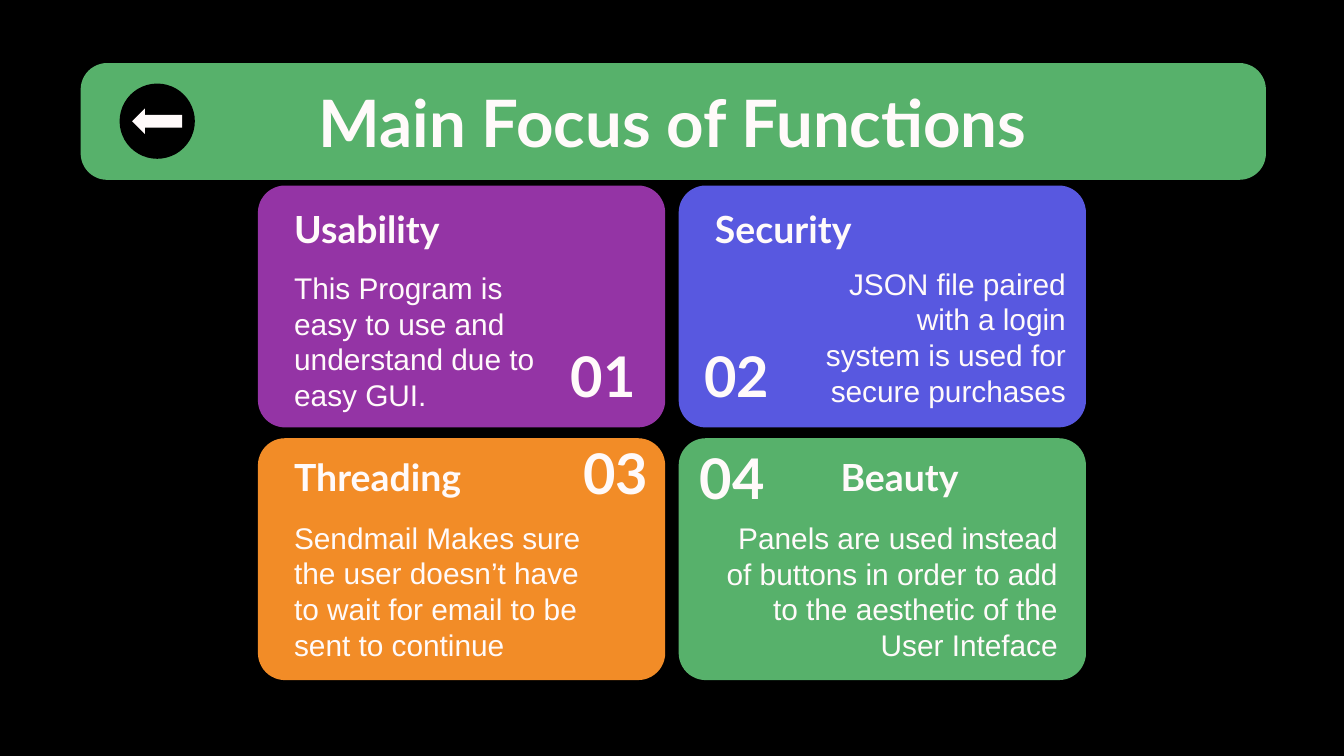
"""Build the slide on the main focus of the program's functions."""
import dataclasses

import pptx
import pptx.dml.color
import pptx.enum.shapes
import pptx.enum.text
import pptx.util

Pt = pptx.util.Pt
SHAPE = pptx.enum.shapes.MSO_SHAPE
ALIGN = pptx.enum.text.PP_ALIGN
ANCHOR = pptx.enum.text.MSO_ANCHOR


@dataclasses.dataclass(frozen=True)
class Theme:
    black: str = "000000"
    white: str = "FFFAFA"
    purple: str = "9434A5"
    blue: str = "5858E0"
    orange: str = "F28C27"
    green: str = "57B16B"
    heading_font: str = "Lato"
    body_font: str = "Arial"
    title_size: float = 35
    number_size: float = 30
    heading_size: float = 20
    body_size: float = 16
    body_leading: float = 19.2


THEME = Theme()
CARD_LEFT, CARD_TOP = 138.2, 99.4
CARD_WIDTH, CARD_HEIGHT = 218.2, 129.6
COLUMN_STEP, ROW_STEP = 225.4, 135.4

FOCUSES = [
    dict(heading="Usability", fill=THEME.purple, number_at=(290.9, 180),
         detail="This Program is easy to use and understand due to easy GUI.",
         detail_box=(150.5, 143.3, 144.7, 85)),
    dict(heading="Security", fill=THEME.blue, number_at=(362.2, 180),
         detail="JSON file paired with a login system is used for secure purchases",
         detail_box=(433.4, 157.7, 144.7, 68.4), detail_align=ALIGN.RIGHT),
    dict(heading="Threading", fill=THEME.orange, number_at=(297.4, 231.8),
         detail="Sendmail Makes sure the user doesn’t have to wait for email "
                "to be sent to continue",
         detail_box=(150.5, 309.6, 172.8, 52.6)),
    dict(heading="Beauty", fill=THEME.green, number_at=(360, 234.7),
         detail="Panels are used instead of buttons in order to add to the "
                "aesthetic of the User Inteface",
         detail_box=(375.8, 293.8, 198, 68.4),
         heading_align=ALIGN.RIGHT, detail_align=ALIGN.RIGHT),
]


def rgb(code):
    """Turn a hex code into a colour."""
    return pptx.dml.color.RGBColor.from_string(code)


def add_panel(shapes, kind, box, fill, corner=None):
    """Add a flat filled shape without outline or shadow."""
    panel = shapes.add_shape(kind, *map(Pt, box))
    panel.shadow.inherit = False
    panel.fill.solid()
    panel.fill.fore_color.rgb = rgb(fill)
    panel.line.fill.background()
    if corner is not None:
        panel.adjustments[0] = corner


def add_text(shapes, words, box, *, size, font=THEME.heading_font, bold=True,
             align=ALIGN.LEFT, anchor=ANCHOR.TOP, leading=None):
    """Add a wrapped text box holding one formatted paragraph."""
    frame = shapes.add_textbox(*map(Pt, box)).text_frame
    frame.word_wrap = True
    frame.vertical_anchor = anchor
    frame.margin_left = frame.margin_right = Pt(7.2)
    frame.margin_top = frame.margin_bottom = Pt(7.2)
    paragraph = frame.paragraphs[0]
    paragraph.alignment = align
    if leading:
        paragraph.line_spacing = Pt(leading)
    run = paragraph.add_run()
    run.text = words
    run.font.name = font
    run.font.size = Pt(size)
    run.font.bold = bold
    run.font.color.rgb = rgb(THEME.white)


def add_title_bar(shapes):
    """Add the title on its green bar."""
    add_panel(shapes, SHAPE.ROUNDED_RECTANGLE, (43.2, 33.8, 635, 62.6),
              THEME.green, 0.227)
    add_text(shapes, "Main Focus of Functions", (106.6, 36.7, 507.6, 45.4),
             size=THEME.title_size, align=ALIGN.CENTER)


def add_back_button(shapes):
    """Add the round button with its left arrow as one group."""
    button = shapes.add_group_shape().shapes
    add_panel(button, SHAPE.OVAL, (64.1, 44.8, 40.3, 40.3), THEME.black)
    add_panel(button, SHAPE.LEFT_ARROW, (70.8, 58.1, 26.8, 13.7), THEME.white)


def add_focus(shapes, index, heading, fill, number_at, detail, detail_box,
              heading_align=ALIGN.LEFT, detail_align=ALIGN.LEFT):
    """Add one numbered card with heading and detail."""
    row, column = divmod(index, 2)
    left = CARD_LEFT + column * COLUMN_STEP
    top = CARD_TOP + row * ROW_STEP
    add_panel(shapes, SHAPE.ROUNDED_RECTANGLE,
              (left, top, CARD_WIDTH, CARD_HEIGHT), fill, 0.112)
    add_text(shapes, heading, (left + 12.3, 103 + row * 133.2, 144.7, 57.6),
             size=THEME.heading_size, align=heading_align)
    add_text(shapes, detail, detail_box, size=THEME.body_size,
             font=THEME.body_font, bold=False, align=detail_align,
             anchor=ANCHOR.BOTTOM, leading=THEME.body_leading)
    add_text(shapes, f"{index + 1:02}", (*number_at, 64.8, 41.8),
             size=THEME.number_size, align=ALIGN.CENTER, anchor=ANCHOR.MIDDLE)


def main():
    """Build and save the slide."""
    deck = pptx.Presentation()
    deck.slide_width, deck.slide_height = Pt(720), Pt(405)
    slide = deck.slides.add_slide(deck.slide_layouts[6])
    slide.background.fill.solid()
    slide.background.fill.fore_color.rgb = rgb(THEME.black)
    add_title_bar(slide.shapes)
    add_back_button(slide.shapes)
    for index, focus in enumerate(FOCUSES):
        add_focus(slide.shapes, index, **focus)
    deck.save("out.pptx")


if __name__ == "__main__":
    main()
